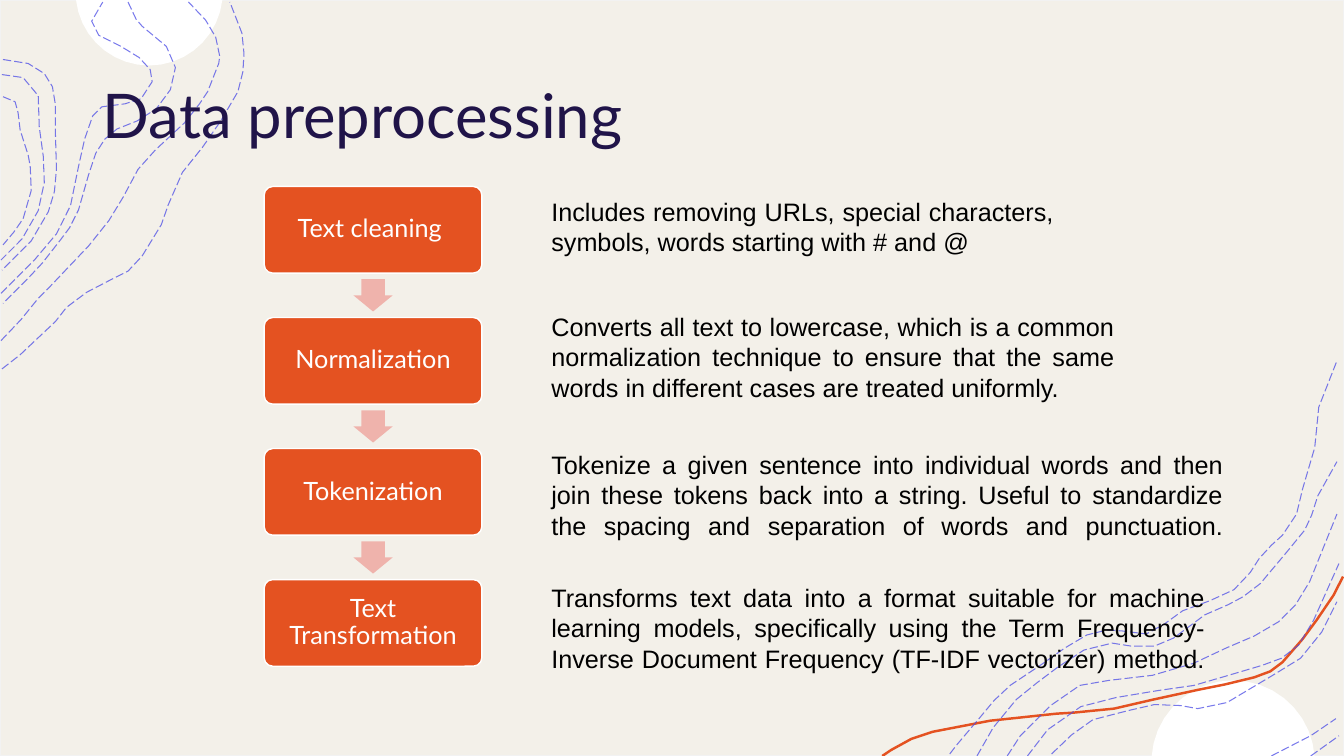
from dataclasses import dataclass
from math import cos, pi, sin

from lxml.etree import SubElement
from pptx import Presentation
from pptx.dml.color import RGBColor
from pptx.enum.dml import MSO_LINE
from pptx.enum.shapes import MSO_SHAPE
from pptx.enum.text import MSO_ANCHOR, MSO_AUTO_SIZE, PP_ALIGN
from pptx.oxml.ns import qn
from pptx.util import Inches, Pt

# ---- Content ----
TITLE = "Data preprocessing"
# step, explanation, top and width of the explanation
STEPS = [
    ("Text cleaning ",
     "Includes removing URLs, special characters, symbols, words starting with # and @",
     1.9, 5.18),
    ("Normalization",
     "Converts all text to lowercase, which is a common normalization technique "
     "to ensure that the same words in different cases are treated uniformly.",
     3.04, 5.78),
    ("Tokenization",
     "Tokenize a given sentence into individual words and then join these tokens back "
     "into a string. Useful to standardize the spacing and separation of words and "
     "punctuation.\v",
     4.41, 6.86),
    ("Text Transformation",
     "Transforms text data into a format suitable for machine learning models, "
     "specifically using the Term Frequency-Inverse Document Frequency "
     "(TF-IDF vectorizer) method.\v",
     5.73, 6.68),
]

# ---- Decoration: points along each curve, in inches ----
TOP_LEFT_CONTOURS = [
    [(0.02, 3.66), (0.2, 3.52), (0.55, 3.19), (0.66, 3.05), (0.86, 2.9), (1.11, 2.77),
     (1.27, 2.69), (1.41, 2.54), (1.6, 2.23), (1.67, 2.03), (1.81, 1.71), (2.01, 1.46),
     (2.19, 1.2), (2.36, 0.91), (2.41, 0.71), (2.42, 0.53), (2.4, 0.33), (2.28, 0.02)],
    [(0.01, 3.38), (0.21, 3.17), (0.38, 2.96), (0.5, 2.84), (0.88, 2.44),
     (1.08, 2.19), (1.22, 1.96), (1.37, 1.68), (1.54, 1.49), (1.83, 1.22),
     (1.98, 1.03), (2.06, 0.91), (2.17, 0.63), (2.18, 0.56), (2.14, 0.37),
     (2.04, 0.2), (1.87, 0.02)],
    [(1.27, 0.02), (1.35, 0.19), (1.41, 0.26), (1.65, 0.46), (1.74, 0.67), (1.69, 0.89),
     (1.55, 1.08), (1.36, 1.2), (1.16, 1.28), (1.04, 1.38), (0.95, 1.52), (0.88, 1.73),
     (0.78, 2.08), (0.69, 2.26), (0.6, 2.38), (0.42, 2.61), (0.28, 2.76), (0.03, 3.01)],
    [(0.01, 2.91), (0.35, 2.57), (0.56, 2.32), (0.7, 2.04), (0.78, 1.65), (0.84, 1.38),
     (0.92, 1.15), (1.01, 1.06), (1.24, 1.03), (1.4, 0.98), (1.51, 0.81), (1.49, 0.69),
     (1.38, 0.57), (1.2, 0.46), (0.98, 0.35), (0.91, 0.21), (1.02, 0.02)],
    [(0.03, 0.59), (0.28, 0.63), (0.44, 0.73), (0.52, 0.86), (0.55, 1.04), (0.55, 1.32),
     (0.56, 1.68), (0.54, 1.9), (0.48, 2.1), (0.31, 2.39), (0.02, 2.68)],
    [(0.02, 0.74), (0.23, 0.77), (0.38, 0.95), (0.39, 1.26), (0.43, 1.55), (0.44, 1.81),
     (0.38, 2.09), (0.22, 2.37), (0.01, 2.58)],
    [(0.03, 0.96), (0.15, 1.01), (0.18, 1.12), (0.2, 1.29), (0.28, 1.54), (0.3, 1.65),
     (0.31, 1.89), (0.23, 2.17), (0.14, 2.3), (0.03, 2.43)],
]
BOTTOM_RIGHT_CONTOURS = [
    [(9.42, 7.48), (9.49, 7.39), (9.71, 7.13), (9.86, 6.95), (10.02, 6.8), (10.32, 6.6),
     (10.56, 6.43), (10.78, 6.3), (10.98, 6.25), (11.13, 6.26),
     (11.37, 6.29), (11.55, 6.19), (11.73, 6.06), (12, 5.96), (12.24, 5.85), (12.4, 5.68),
     (12.49, 5.54), (12.61, 5.41), (12.72, 5.31), (12.86, 5.1),
     (12.92, 4.85), (13.04, 4.44), (13.08, 4.04), (13.26, 3.58)],
    [(9.69, 7.5), (9.85, 7.22), (10.08, 6.94), (10.29, 6.77), (10.49, 6.62), (10.75, 6.45),
     (11.03, 6.38), (11.22, 6.41), (11.45, 6.41), (11.64, 6.33),
     (11.95, 6.1), (12.18, 6), (12.33, 5.92), (12.5, 5.79), (12.76, 5.48),
     (12.94, 5.26), (13.01, 5.11), (13.07, 4.92), (13.26, 4.58)],
    [(13, 7.5), (13.28, 7.3)],
    [(12.61, 7.5), (13, 7.3), (13.25, 7.13)],
    [(10.43, 7.48), (10.63, 7.29), (10.84, 7.14), (11.19, 7.05), (11.45, 6.99), (11.71, 7),
     (11.88, 7.03), (12.17, 6.97), (12.64, 6.69), (12.9, 6.53), (13.11, 6.27), (13.26, 5.97)],
    [(10.19, 7.5), (10.39, 7.24), (10.72, 7.01), (11.07, 6.92), (11.49, 6.85),
     (11.84, 6.8), (12.15, 6.71), (12.52, 6.6), (12.71, 6.53), (12.88, 6.4),
     (13.03, 6.15), (13.28, 5.59)],
    [(9.99, 7.5), (10.12, 7.3), (10.42, 7), (10.71, 6.8), (11, 6.75),
     (11.43, 6.7), (11.84, 6.58), (12.16, 6.43), (12.44, 6.31), (12.68, 6.17), (12.85, 6),
     (12.99, 5.77), (13.26, 5.1)],
]
RIBBON = [(8.75, 7.5), (8.84, 7.44), (9.04, 7.33), (9.25, 7.26), (9.82, 7.15),
          (10.48, 7.08), (10.65, 7.07), (11.05, 7.03), (11.44, 6.94), (11.9, 6.84),
          (12.15, 6.79), (12.44, 6.72), (12.6, 6.66), (12.72, 6.57), (12.92, 6.34),
          (13.06, 6.15), (13.23, 5.9), (13.32, 5.72)]
# centre x, centre y, radius, first and last angle of the visible part
DISCS = [(1.48, -0.08, 0.73, 0.035 * pi, 0.965 * pi),
         (12.23, 7.56, 0.81, 1.02 * pi, 1.98 * pi)]
ARC_PARTS = 18


@dataclass(frozen=True)
class Theme:
    paper: RGBColor = RGBColor.from_string("F3F0E9")
    edge: RGBColor = RGBColor.from_string("F2F2F2")
    white: RGBColor = RGBColor.from_string("FFFFFF")
    orange: RGBColor = RGBColor.from_string("E45221")
    pink: RGBColor = RGBColor.from_string("EFB3AC")
    violet: RGBColor = RGBColor.from_string("4D4EE6")
    navy: RGBColor = RGBColor.from_string("201449")
    black: RGBColor = RGBColor.from_string("000000")
    heading: str = "Lato"
    body: str = "Arial"
    title_size: int = 44
    text_size: int = 18


THEME = Theme()
WIDTH, HEIGHT = 13.33, 7.5
BOX_LEFT, BOX_TOP, BOX_WIDTH, BOX_HEIGHT, PITCH = 2.62, 1.85, 2.16, 0.86, 1.3
ARROW_WIDTH, ARROW_HEIGHT = 0.39, 0.32
TEXT_LEFT = 5.37


def outline(shapes, points, close=False):
    first, *rest = [(Inches(x), Inches(y)) for x, y in points]
    builder = shapes.build_freeform(*first)
    builder.add_line_segments(rest, close=close)
    shape = builder.convert_to_shape()
    shape.shadow.inherit = False
    return shape


def stroke(shapes, points, color, width):
    shape = outline(shapes, points)
    shape.fill.background()
    shape.line.color.rgb, shape.line.width = color, Pt(width)
    return shape


def paint(shape, fill, line=None):
    shape.shadow.inherit = False
    shape.fill.solid()
    shape.fill.fore_color.rgb = fill
    if line is None:
        shape.line.fill.background()
    else:
        shape.line.color.rgb, shape.line.width = line, Pt(1)


def block(kind, left, top, width, height):
    return page.shapes.add_shape(kind, *map(Inches, (left, top, width, height)))


def write(frame, text, align, font, size, color):
    frame.word_wrap = True
    frame.text = text
    para = frame.paragraphs[0]
    para.alignment = align
    para.font.name, para.font.size, para.font.color.rgb = font, Pt(size), color
    return para


deck = Presentation()
deck.slide_width, deck.slide_height = Inches(WIDTH), Inches(HEIGHT)
page = deck.slides.add_slide(deck.slide_layouts[5])

# ---- Backdrop ----
paint(block(MSO_SHAPE.RECTANGLE, 0, 0, WIDTH, HEIGHT), THEME.paper, THEME.edge)
for x, y, radius, start, end in DISCS:
    angles = [start + (end - start) * i / ARC_PARTS for i in range(ARC_PARTS + 1)]
    arc = [(x + radius * cos(angle), y + radius * sin(angle)) for angle in angles]
    paint(outline(page.shapes, arc, close=True), THEME.white)
stroke(page.shapes, RIBBON, THEME.orange, 1.75)
for contours in (TOP_LEFT_CONTOURS, BOTTOM_RIGHT_CONTOURS):
    group = page.shapes.add_group_shape()
    for points in contours:
        contour = stroke(group.shapes, points, THEME.violet, 0.75)
        contour.line.dash_style = MSO_LINE.LONG_DASH
        color = contour.element.find(".//" + qn("a:ln")).find(".//" + qn("a:srgbClr"))
        SubElement(color, qn("a:alpha"), val="75000")

# ---- Title, in front of the backdrop ----
title = page.shapes.title
title.left, title.top, title.width, title.height = map(Inches, (0.92, 0.4, 11.5, 1.45))
write(title.text_frame, TITLE, PP_ALIGN.LEFT, THEME.heading, THEME.title_size, THEME.navy)
title.text_frame.vertical_anchor = MSO_ANCHOR.MIDDLE
title.element.getparent().append(title.element)

# ---- Steps with arrows between them ----
for row, (step, explanation, text_top, text_width) in enumerate(STEPS):
    top = BOX_TOP + row * PITCH
    box = block(MSO_SHAPE.ROUNDED_RECTANGLE, BOX_LEFT, top, BOX_WIDTH, BOX_HEIGHT)
    box.adjustments[0] = 0.1
    paint(box, THEME.orange, THEME.white)
    frame = box.text_frame
    frame.margin_left = frame.margin_right = Inches(0.07)
    frame.vertical_anchor = MSO_ANCHOR.MIDDLE
    para = write(frame, step, PP_ALIGN.CENTER, THEME.heading, THEME.text_size, THEME.white)
    para.line_spacing = 0.9

    if row < len(STEPS) - 1:
        arrow = block(MSO_SHAPE.DOWN_ARROW, BOX_LEFT + (BOX_WIDTH - ARROW_WIDTH) / 2,
                      top + (BOX_HEIGHT + PITCH - ARROW_HEIGHT) / 2, ARROW_WIDTH, ARROW_HEIGHT)
        arrow.adjustments[0], arrow.adjustments[1] = 0.6, 0.5
        paint(arrow, THEME.pink)

    lines = 2 if row == 0 else 3 + explanation.count("\v")
    note = page.shapes.add_textbox(*map(
        Inches, (TEXT_LEFT, text_top, text_width, 0.1 + 0.3 * lines)))
    write(note.text_frame, explanation, PP_ALIGN.JUSTIFY, THEME.body, THEME.text_size, THEME.black)
    note.text_frame.auto_size = MSO_AUTO_SIZE.SHAPE_TO_FIT_TEXT

deck.save("out.pptx")
